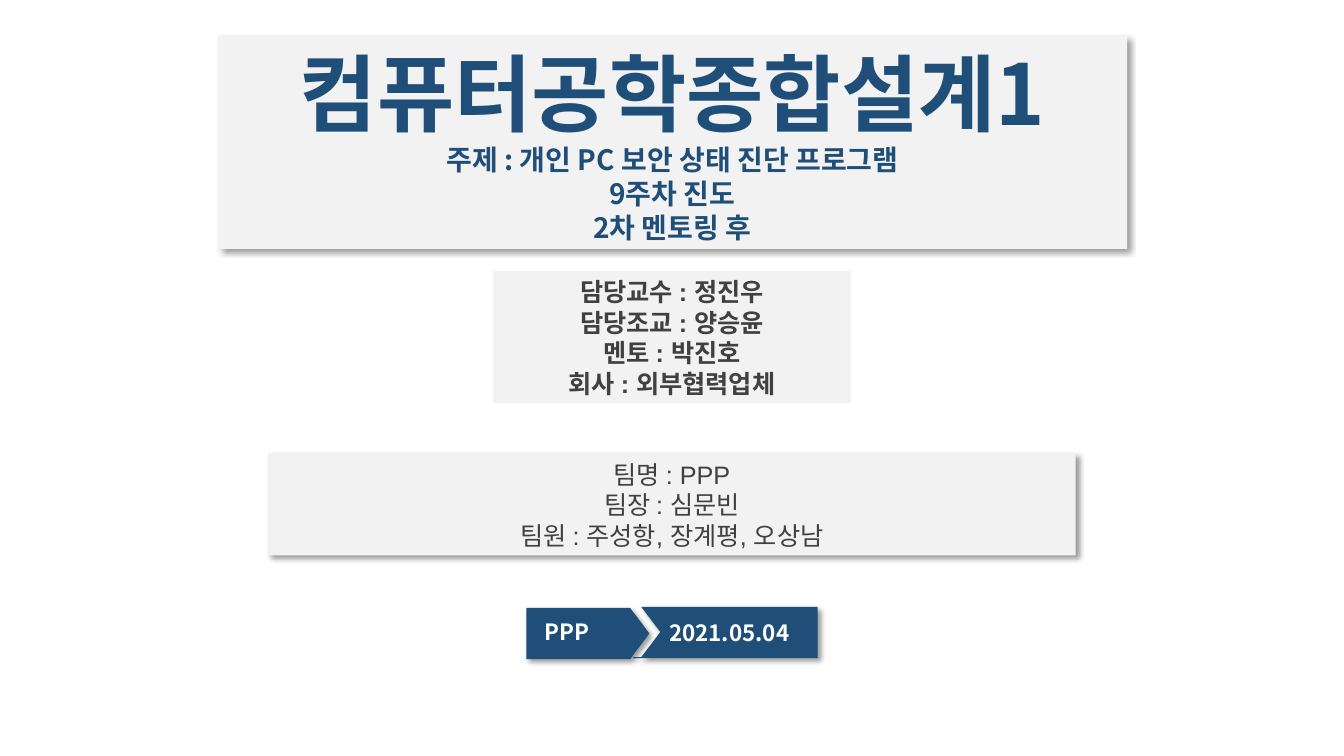
from lxml import etree
from pptx import Presentation
from pptx.dml.color import RGBColor
from pptx.enum import shapes, text
from pptx.oxml import ns
from pptx.util import Inches, Pt

COLORS = {"panel": "F2F2F2", "navy": "1F4E79", "body": "404040",
          "white": "FFFFFF", "shadow": "000000"}
TITLE_FONT, BODY_FONT, BADGE_FONT = "Noto Sans CJK JP", "Arial", "Noto Sans CJK SC"
LINE_HEIGHT = 1.21  # line pitch as a multiple of the font size


def rgb(name):
    return RGBColor.from_string(COLORS[name])


def style_surface(shape, color, shadow=True):
    """Flat fill without outline, with an optional soft drop shadow."""
    shape.fill.solid()
    shape.fill.fore_color.rgb = rgb(color)
    shape.line.fill.background()
    shape.shadow.inherit = False
    if shadow:
        effects = shape._element.spPr.find(ns.qn("a:effectLst"))
        outer = etree.SubElement(effects, ns.qn("a:outerShdw"), blurRad=str(Pt(4)),
                                 dist=str(Pt(3)), dir="2700000", algn="tl", rotWithShape="0")
        tint = etree.SubElement(outer, ns.qn("a:srgbClr"), val=COLORS["shadow"])
        etree.SubElement(tint, ns.qn("a:alpha"), val="40000")


def write_lines(shape, lines, font, color, bold=False, align=text.PP_ALIGN.CENTER):
    """Write one paragraph for each (wording, size) pair."""
    frame = shape.text_frame
    frame.word_wrap = True
    frame.auto_size = text.MSO_AUTO_SIZE.NONE
    frame.vertical_anchor = text.MSO_ANCHOR.MIDDLE
    for index, (wording, size) in enumerate(lines):
        line = frame.add_paragraph() if index else frame.paragraphs[0]
        line.alignment = align
        line.line_spacing = Pt(size * LINE_HEIGHT)
        line.space_before = Pt(0)
        run = line.add_run()
        run.text = wording
        run.font.name = font
        run.font.size = Pt(size)
        run.font.bold = bold
        run.font.color.rgb = rgb(color)
        # Hangul takes its typeface from the East Asian font slot
        hangul = etree.SubElement(run.font._element, ns.qn("a:ea"))
        hangul.set("typeface", BADGE_FONT if font == BODY_FONT else font)


def add_title(slide, lines, left, top, width, height):
    title = slide.shapes.title
    title.left, title.top = Inches(left), Inches(top)
    title.width, title.height = Inches(width), Inches(height)
    style_surface(title, "panel")
    write_lines(title, lines, TITLE_FONT, "navy", bold=True)


def add_panel(slide, lines, left, top, width, height, bold=False, shadow=True):
    panel = slide.shapes.add_shape(shapes.MSO_SHAPE.RECTANGLE, Inches(left), Inches(top),
                                   Inches(width), Inches(height))
    style_surface(panel, "panel", shadow)
    write_lines(panel, [(line, 18) for line in lines], BODY_FONT, "body", bold)


def add_label(badge, wording, left, top, width):
    label = badge.shapes.add_textbox(Inches(left), Inches(top), Inches(width), Inches(0.37))
    write_lines(label, [(wording, 16)], BADGE_FONT, "white", True, text.PP_ALIGN.JUSTIFY)


def add_badge(slide, team, date):
    """Arrow with the team name, followed by a notched block with the date."""
    badge = slide.shapes.add_group_shape()
    arrow = badge.shapes.add_shape(shapes.MSO_SHAPE.PENTAGON, Inches(5.22), Inches(6.03),
                                   Inches(1.22), Inches(0.51))
    arrow.adjustments[0] = 0.375
    style_surface(arrow, "navy")
    add_label(badge, team, 5.3, 6.08, 0.97)

    outline = [(6.36, 6.02), (8.11, 6.02), (8.11, 6.53), (6.28, 6.53),
               (6.28, 6.52), (6.36, 6.52), (6.55, 6.27)]
    corners = [(Inches(x), Inches(y)) for x, y in outline]
    builder = badge.shapes.build_freeform(*corners[0])
    builder.add_line_segments(corners[1:], close=True)
    style_surface(builder.convert_to_shape(), "navy")
    add_label(badge, date, 6.54, 6.09, 1.54)


def main():
    deck = Presentation()
    deck.slide_width, deck.slide_height = Inches(13.33), Inches(7.5)
    slide = deck.slides.add_slide(deck.slide_layouts[5])

    # Course title and topic
    add_title(slide, [("컴퓨터공학종합설계1", 60),
                      ("주제 : 개인 PC 보안 상태 진단 프로그램", 20),
                      ("9주차 진도", 20),
                      ("2차 멘토링 후", 20)], 2.16, 0.35, 9.02, 2.12)

    # Team
    add_panel(slide, ["팀명 : PPP", "팀장 : 심문빈", "팀원 : 주성항, 장계평, 오상남"],
              2.66, 4.5, 8.01, 1.01)

    # Team name and date
    add_badge(slide, "PPP", "2021.05.04")

    # Supervisors
    add_panel(slide, ["담당교수 : 정진우", "담당조교 : 양승윤", "멘토 : 박진호",
                      "회사 : 외부협력업체"],
              4.89, 2.69, 3.55, 1.31, bold=True, shadow=False)

    deck.save("out.pptx")


if __name__ == "__main__":
    main()
